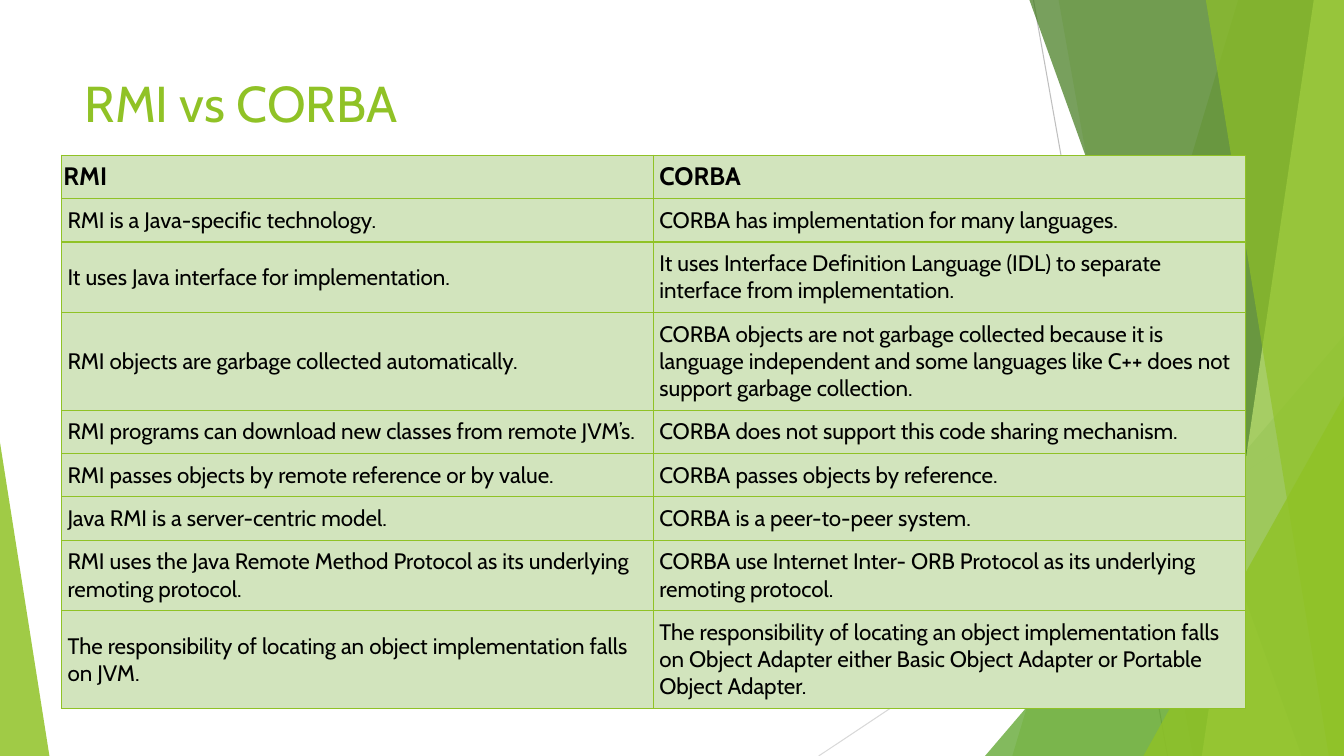
from lxml import etree
from pptx import Presentation
from pptx.dml.color import RGBColor
from pptx.enum import shapes, text
from pptx.oxml import ns
from pptx.util import Inches, Pt

FONT = "Cabin"
LIME = RGBColor(0x90, 0xC2, 0x26)
GREEN = RGBColor(0x54, 0xA0, 0x21)
DARK_GREEN = RGBColor(0x3F, 0x78, 0x19)
PALE_LIME = RGBColor(0xC0, 0xE4, 0x74)
CELL_FILL = RGBColor(0xD2, 0xE4, 0xBD)
GREY = RGBColor(0xBF, 0xBF, 0xBF)
LIGHT_GREY = RGBColor(0xD9, 0xD9, 0xD9)
BLACK = RGBColor(0, 0, 0)

SLIDE_W, SLIDE_H = 13.33, 7.5

RAYS = [((10.25, 0), (11.58, SLIDE_H), GREY),
        ((SLIDE_W, 4.03), (8.12, SLIDE_H), LIGHT_GREY)]
# Bands reach the right edge: top-left x, bottom-left x, colour, opacity.
# Triangles: left, top, width, apex position, colour, opacity.
FACETS = [("band", 12.28, 10.04, LIME, 30),
          ("band", 10.5, 11.83, LIME, 20),
          ("triangle", 9.77, 3.33, 3.56, 1, GREEN, 72),
          ("band", 10.21, 12.91, DARK_GREEN, 70),
          ("band", 13.03, 11.92, PALE_LIME, 70),
          ("band", 11.96, 13.18, LIME, 65),
          ("triangle", 11.34, 3.93, 1.99, 1, LIME, 80),
          ("triangle", 0, 4.39, 0.49, 0, LIME, 85)]

ROWS = [
    ("RMI", "CORBA"),
    ("RMI is a Java-specific technology.",
     "CORBA has implementation for many languages."),
    ("It uses Java interface for implementation.",
     "It uses Interface Definition Language (IDL) to separate interface from implementation."),
    ("RMI objects are garbage collected automatically.",
     "CORBA objects are not garbage collected because it is language independent "
     "and some languages like C++ does not support garbage collection."),
    ("RMI programs can download new classes from remote JVM’s.",
     "CORBA does not support this code sharing mechanism."),
    ("RMI passes objects by remote reference or by value.",
     "CORBA passes objects by reference."),
    ("Java RMI is a server-centric model.",
     "CORBA is a peer-to-peer system."),
    ("RMI uses the Java Remote Method Protocol as its underlying remoting protocol.",
     "CORBA use Internet Inter- ORB Protocol as its underlying remoting protocol."),
    ("The responsibility of locating an object implementation falls on JVM.",
     "The responsibility of locating an object implementation falls on Object Adapter "
     "either Basic Object Adapter or Portable Object Adapter."),
]
ROW_LINES = [1, 1, 2, 3, 1, 1, 1, 2, 3]
ROW_BASE, LINE_STEP = 0.43, 0.27


def format_text(p, color, **values):
    for name, value in dict(name=FONT, **values).items():
        setattr(p.font, name, value)
    p.font.color.rgb = color


def paint(sp, color, opacity):
    sp.shadow.inherit = False
    sp.fill.solid()
    sp.fill.fore_color.rgb = color
    sp.line.fill.background()
    clr = sp.element.spPr.find(ns.qn("a:solidFill"))[0]
    etree.SubElement(clr, ns.qn("a:alpha"), val=str(opacity * 1000))


def add_ray(grp, start, end, color):
    ray = grp.shapes.add_connector(shapes.MSO_CONNECTOR.STRAIGHT,
                                   *map(Inches, start + end))
    ray.line.color.rgb = color
    ray.line.width = Pt(0.75)
    etree.SubElement(ray.element.spPr, ns.qn("a:effectLst"))


def add_band(grp, top_x, bottom_x, color, opacity):
    builder = grp.shapes.build_freeform(Inches(top_x), Inches(0))
    corners = [(SLIDE_W, 0), (SLIDE_W, SLIDE_H), (bottom_x, SLIDE_H)]
    builder.add_line_segments([(Inches(x), Inches(y)) for x, y in corners])
    paint(builder.convert_to_shape(), color, opacity)


def add_triangle(grp, left, top, width, apex, color, opacity):
    """Stand a triangle on the bottom edge of the slide."""
    box = map(Inches, (left, top, width, SLIDE_H - top))
    sp = grp.shapes.add_shape(shapes.MSO_SHAPE.ISOSCELES_TRIANGLE, *box)
    sp.adjustments[0] = apex
    paint(sp, color, opacity)


def add_backdrop(s):
    grp = s.shapes.add_group_shape()
    for ray in RAYS:
        add_ray(grp, *ray)
    adders = {"band": add_band, "triangle": add_triangle}
    for kind, *values in FACETS:
        adders[kind](grp, *values)
    s.shapes.title.element.addprevious(grp.element)


def add_title(s, left, top, width, height):
    title = s.shapes.title
    title.left, title.top, title.width, title.height = map(
        Inches, (left, top, width, height))
    tf = title.text_frame
    tf.text = "RMI vs CORBA"
    tf.vertical_anchor = text.MSO_ANCHOR.TOP
    tf.word_wrap = True
    p = tf.paragraphs[0]
    p.alignment = text.PP_ALIGN.LEFT
    format_text(p, LIME, size=Pt(36))


def add_borders(cell):
    tc_pr = cell._tc.get_or_add_tcPr()
    for i, side in enumerate(("lnL", "lnR", "lnT", "lnB")):
        ln = etree.Element(ns.qn(f"a:{side}"), w=str(Pt(1)))
        fill = etree.SubElement(ln, ns.qn("a:solidFill"))
        etree.SubElement(fill, ns.qn("a:srgbClr"), val=str(LIME))
        tc_pr.insert(i, ln)


def fill_cell(cell, words, is_header, side_inset):
    cell.text = words
    cell.vertical_anchor = text.MSO_ANCHOR.MIDDLE
    cell.margin_left = cell.margin_right = Inches(side_inset)
    cell.margin_top = cell.margin_bottom = Inches(0.06 if is_header else 0.08)
    cell.fill.solid()
    cell.fill.fore_color.rgb = CELL_FILL
    add_borders(cell)
    format_text(cell.text_frame.paragraphs[0], BLACK,
                size=Pt(18 if is_header else 16), bold=is_header)


def add_comparison(s, left, top, width):
    heights = [ROW_BASE + LINE_STEP * (n - 1) for n in ROW_LINES]
    box = map(Inches, (left, top, width, sum(heights)))
    table = s.shapes.add_table(len(ROWS), 2, *box).table
    for column in table.columns:
        column.width = Inches(width / 2)
    for r, (words, height) in enumerate(zip(ROWS, heights)):
        table.rows[r].height = Inches(height)
        for c, entry in enumerate(words):
            inset = 0.02 if r == c == 0 else 0.06
            fill_cell(table.cell(r, c), entry, r == 0, inset)


def main():
    prs = Presentation()
    prs.slide_width, prs.slide_height = Inches(SLIDE_W), Inches(SLIDE_H)
    s = prs.slides.add_slide(prs.slide_layouts[5])
    add_backdrop(s)
    add_title(s, 0.74, 0.67, 9.4, 1.44)
    add_comparison(s, 0.61, 1.54, 11.74)
    prs.save("out.pptx")


if __name__ == "__main__":
    main()
